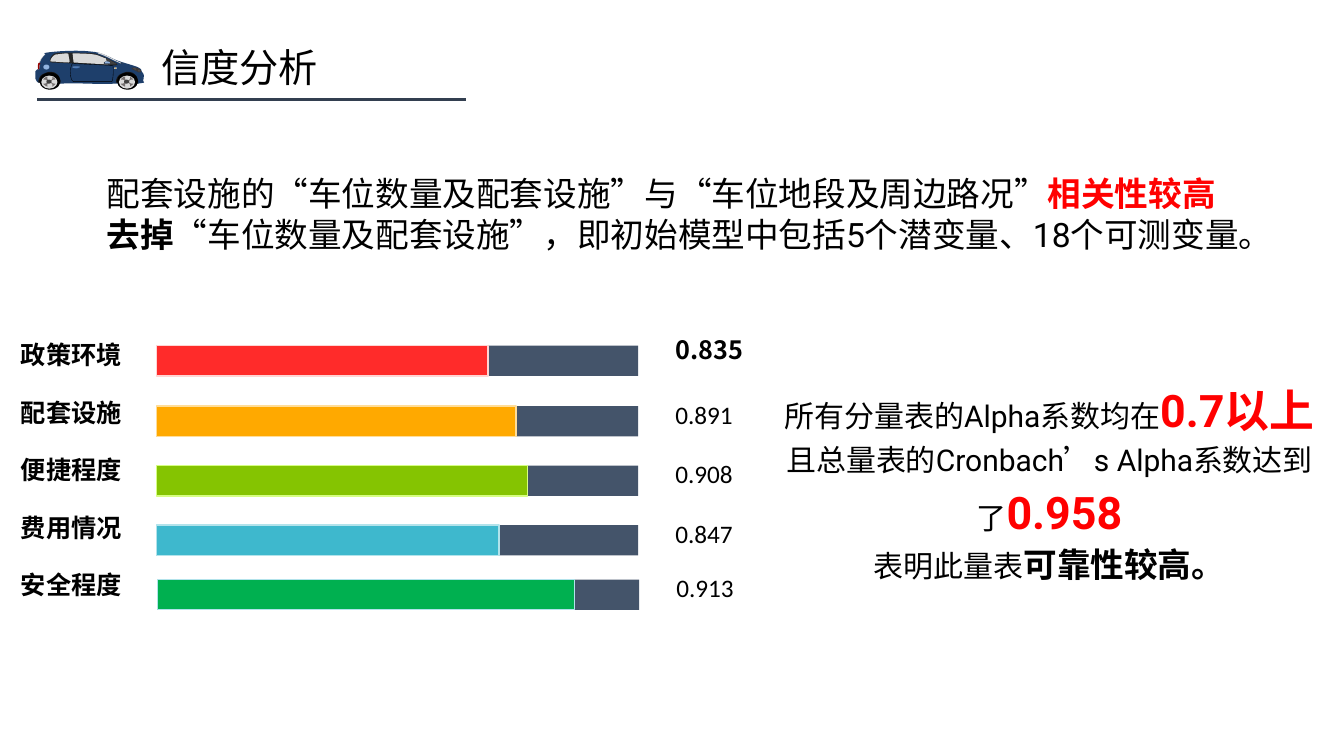
from lxml import etree
from pptx import Presentation
from pptx.dml.color import RGBColor
from pptx.enum.shapes import MSO_CONNECTOR, MSO_SHAPE
from pptx.enum.text import PP_ALIGN
from pptx.oxml.ns import qn
from pptx.util import Inches, Pt

HAN_FONT, BODY_FONT, NUMBER_FONT = "Noto Sans CJK SC", "Roboto", "Calibri"
BLACK = RGBColor(0x00, 0x00, 0x00)
RED = RGBColor(0xFF, 0x00, 0x00)
SLATE = RGBColor(0x44, 0x54, 0x6A)
NAVY = RGBColor(0x33, 0x3F, 0x50)
BODY_BLUE = RGBColor(0x1E, 0x3F, 0x6B)
HANDLE_BLUE = RGBColor(0x2E, 0x5F, 0xA1)
PALE_BLUE = RGBColor(0x91, 0xB3, 0xE0)
GLASS = RGBColor(0xD9, 0xD9, 0xD9)
TRIM = RGBColor(0xBF, 0xBF, 0xBF)
SPOKE = RGBColor(0x76, 0x71, 0x71)
DARK = RGBColor(0x40, 0x40, 0x40)
LAMP = RGBColor(0x3B, 0x38, 0x38)
LAMP_SPOT = RGBColor(0x4D, 0x49, 0x49)
FRAME = RGBColor(0x26, 0x26, 0x26)
ARCH = RGBColor(0x18, 0x17, 0x17)
TAIL_RED = RGBColor(0x94, 0x01, 0x00)
WHITE = RGBColor(0xFF, 0xFF, 0xFF)
AMBER = RGBColor(0xFF, 0xA9, 0x00)
ICE = RGBColor(0xB2, 0xE3, 0xEB)

# Runs are (text, size, colour, bold)
TITLE = [[("信度分析", 28, BLACK, False)]]
SUMMARY = [
    [("配套设施的“车位数量及配套设施”与“车位地段及周边路况”", 24, BLACK, False),
     ("相关性较高", 24, RED, True)],
    [("去掉", 24, BLACK, True),
     ("“车位数量及配套设施”，即初始模型中包括5个潜变量、18个可测变量。", 24, BLACK, False)],
]
CONCLUSION = [
    [("所有分量表的Alpha系数均在", 21.4, BLACK, False), ("0.7以上", 32, RED, True)],
    [("且总量表的Cronbach’s Alpha系数达到了", 21.4, BLACK, False), ("0.958", 32, RED, True)],
    [("表明此量表", 21.4, BLACK, False), ("可靠性较高。", 24, BLACK, True)],
]
# Scale, alpha, bar left and top, filled width, fill, outline
SCALES = [
    ("政策环境", "0.835", 1.55, 3.43, 3.29, RGBColor(0xFF, 0x2B, 0x2A), RGBColor(0xFF, 0xD5, 0xD4)),
    ("配套设施", "0.891", 1.55, 4.03, 3.57, AMBER, RGBColor(0xFF, 0xDD, 0x99)),
    ("便捷程度", "0.908", 1.55, 4.62, 3.68, RGBColor(0x85, 0xC4, 0x01), RGBColor(0xD6, 0xFE, 0x82)),
    ("费用情况", "0.847", 1.55, 5.21, 3.4, RGBColor(0x3E, 0xB8, 0xCD), ICE),
    ("安全程度", "0.913", 1.56, 5.75, 4.14, RGBColor(0x00, 0xB0, 0x50), ICE),
]
BAR_WIDTH, BAR_HEIGHT = 4.78, 0.3
LABEL_TOP, LABEL_PITCH = 3.32, 0.57

# Outlines: a start point, then lines (x, y) and curves (x1, y1, x2, y2, x, y)
CAR_BODY = [
    (0.44, 0.53), (0.42, 0.52, 0.73, 0.49, 0.89, 0.51), (1.04, 0.52, 1.09, 0.58, 1.19, 0.61),
    (1.35, 0.66, 1.37, 0.66, 1.4, 0.69), (1.41, 0.74, 1.44, 0.71, 1.42, 0.8), (1.43, 0.82),
    (1.37, 0.83), (1.15, 0.83), (0.96, 0.84, 0.78, 0.82, 0.6, 0.83), (0.38, 0.82),
    (0.36, 0.81, 0.35, 0.78, 0.35, 0.77), (0.35, 0.71), (0.35, 0.7, 0.39, 0.68, 0.39, 0.67),
    (0.39, 0.64, 0.39, 0.59, 0.45, 0.54)]
WINDOW_FRAME = [(0.55, 0.53), (0.63, 0.52, 0.74, 0.52, 0.94, 0.53),
                (0.97, 0.54, 1.25, 0.65, 1.14, 0.65), (0.5, 0.62), (0.48, 0.58, 0.53, 0.53, 0.55, 0.53)]
FRONT_WINDOW = [(0.72, 0.53), (0.73, 0.53, 0.86, 0.53, 0.93, 0.54),
                (0.99, 0.55, 1.01, 0.57, 1.05, 0.58), (1.07, 0.64), (0.73, 0.62)]
REAR_WINDOW = [(0.56, 0.54), (0.57, 0.54, 0.63, 0.53, 0.66, 0.53), (0.68, 0.53, 0.68, 0.54, 0.68, 0.55),
               (0.68, 0.56, 0.69, 0.59, 0.69, 0.61), (0.68, 0.62), (0.64, 0.62, 0.54, 0.61, 0.5, 0.61),
               (0.5, 0.6), (0.51, 0.57, 0.54, 0.54, 0.56, 0.54)]
QUARTER_WINDOW = [(1.06, 0.58), (1.15, 0.63), (1.17, 0.64, 1.13, 0.64, 1.11, 0.64), (1.07, 0.64),
                  (1.06, 0.64, 1.06, 0.63, 1.06, 0.58)]
MIRROR_BACK = [(1.05, 0.61), (1.08, 0.61, 1.09, 0.61, 1.09, 0.62), (1.09, 0.64), (1.03, 0.64), (1.03, 0.62)]
MIRROR = [(1.05, 0.61), (1.07, 0.61, 1.08, 0.61, 1.09, 0.62), (1.09, 0.63), (1.04, 0.63), (1.04, 0.62)]
DOOR = [(0.72, 0.63), (1.12, 0.65), (1.13, 0.69, 1.12, 0.81, 1.11, 0.81), (0.73, 0.81),
        (0.69, 0.8, 0.69, 0.66, 0.72, 0.63)]
WINDSCREEN = [(0.98, 0.52), (1.05, 0.54, 1.16, 0.61, 1.2, 0.62), (1.2, 0.63),
              (1.12, 0.6, 1.07, 0.56, 0.97, 0.53)]
WIPER = [(1.19, 0.62), (1.2, 0.62), (1.23, 0.63), (1.21, 0.63, 1.2, 0.63, 1.19, 0.62)]
HEADLAMP = [(1.33, 0.67), (1.35, 0.67, 1.37, 0.67, 1.4, 0.7), (1.4, 0.72),
            (1.39, 0.71, 1.39, 0.71, 1.38, 0.72), (1.36, 0.71, 1.34, 0.7, 1.32, 0.69),
            (1.3, 0.68, 1.3, 0.67, 1.33, 0.67)]
LAMP_CORNER = [(1.32, 0.68), (1.33, 0.67), (1.34, 0.67, 1.35, 0.68, 1.35, 0.69), (1.35, 0.7)]
REAR_TRIM = [(0.45, 0.54), (0.39, 0.59, 0.39, 0.65, 0.39, 0.68), (0.38, 0.69),
             (0.37, 0.63, 0.41, 0.57, 0.45, 0.54)]
TAIL_LAMP = [(0.38, 0.63), (0.39, 0.62, 0.39, 0.62, 0.4, 0.63), (0.39, 0.64, 0.39, 0.66, 0.39, 0.68),
             (0.38, 0.69), (0.37, 0.65, 0.38, 0.64, 0.38, 0.63)]
WHEEL_ARCH = [(0.44, 0.73), (0.48, 0.71, 0.5, 0.71, 0.54, 0.72), (0.6, 0.75, 0.6, 0.8, 0.6, 0.83),
              (0.38, 0.82), (0.38, 0.78, 0.4, 0.74, 0.44, 0.73)]
SPOKES = [
    (0.47, 0.76), (0.47, 0.78), (0.47, 0.79, 0.48, 0.8, 0.49, 0.8), (0.5, 0.8, 0.52, 0.79, 0.52, 0.78),
    (0.52, 0.76), (0.53, 0.77, 0.55, 0.78, 0.55, 0.79), (0.54, 0.79),
    (0.52, 0.79, 0.51, 0.8, 0.51, 0.81), (0.51, 0.82, 0.52, 0.83, 0.54, 0.83), (0.55, 0.83),
    (0.55, 0.84, 0.53, 0.85, 0.52, 0.86), (0.52, 0.84), (0.52, 0.83, 0.5, 0.82, 0.49, 0.82),
    (0.48, 0.82, 0.47, 0.83, 0.47, 0.84), (0.47, 0.86), (0.45, 0.85, 0.43, 0.84, 0.43, 0.83),
    (0.44, 0.83), (0.46, 0.83, 0.47, 0.82, 0.47, 0.81), (0.47, 0.8, 0.46, 0.79, 0.44, 0.79),
    (0.43, 0.79), (0.43, 0.78, 0.45, 0.77, 0.46, 0.76)]
WHEEL_OFFSETS = (0, 0.77)
CURVE_STEPS = 8

presentation = Presentation()
presentation.slide_width, presentation.slide_height = Inches(13.33), Inches(7.5)
slide = presentation.slides.add_slide(presentation.slide_layouts[6])
shapes = slide.shapes


def paint(shape, fill, outline=None, weight=1):
    shape.shadow.inherit = False
    shape.fill.solid()
    shape.fill.fore_color.rgb = fill
    if outline is None:
        shape.line.fill.background()
    else:
        shape.line.color.rgb = outline
        shape.line.width = Pt(weight)


def add_preset(preset, box, fill, outline=None):
    shape = shapes.add_shape(preset, *map(Inches, box))
    paint(shape, fill, outline)


def add_outline(segments, fill, shift=0, outline=None):
    """Draw a closed outline, turning each cubic curve into short lines."""
    points = [segments[0]]
    for segment in segments[1:]:
        if len(segment) == 2:
            points.append(segment)
            continue
        knots = [points[-1], segment[:2], segment[2:4], segment[4:]]
        for step in range(1, CURVE_STEPS + 1):
            t = step / CURVE_STEPS
            weights = ((1 - t) ** 3, 3 * t * (1 - t) ** 2, 3 * t * t * (1 - t), t ** 3)
            points.append(tuple(sum(w * knot[axis] for w, knot in zip(weights, knots))
                                for axis in (0, 1)))
    points = [(Inches(x + shift), Inches(y)) for x, y in points]
    builder = shapes.build_freeform(*points[0])
    builder.add_line_segments(points[1:], close=True)
    paint(builder.convert_to_shape(), fill, outline, 0.25)


def add_text(box, paragraphs, font, align=PP_ALIGN.LEFT, spacing=None):
    frame = shapes.add_textbox(*map(Inches, box)).text_frame
    frame.word_wrap = True
    for index, runs in enumerate(paragraphs):
        paragraph = frame.paragraphs[0] if index == 0 else frame.add_paragraph()
        paragraph.alignment = align
        paragraph.line_spacing = spacing
        paragraph.font.name = font
        for text, size, colour, bold in runs:
            run = paragraph.add_run()
            run.text = text
            run.font.size, run.font.bold = Pt(size), bold
            run.font.color.rgb = colour
            run.font.name = font
            etree.SubElement(run.font._element if hasattr(run.font, "_element") else run._r.rPr,
                             qn("a:ea"), typeface=HAN_FONT)


def add_wheel(shift):
    add_outline(WHEEL_ARCH, ARCH, shift)
    add_preset(MSO_SHAPE.OVAL, (0.39 + shift, 0.72, 0.21, 0.17), BLACK)
    add_preset(MSO_SHAPE.OVAL, (0.41 + shift, 0.75, 0.16, 0.13), GLASS)
    add_outline(SPOKES, SPOKE, shift)
    add_preset(MSO_SHAPE.OVAL, (0.46 + shift, 0.79, 0.05, 0.04), DARK)


def add_car():
    for outline, fill in ((CAR_BODY, BODY_BLUE), (WINDOW_FRAME, FRAME), (FRONT_WINDOW, GLASS),
                          (REAR_WINDOW, GLASS), (QUARTER_WINDOW, DARK), (MIRROR_BACK, NAVY),
                          (MIRROR, PALE_BLUE)):
        add_outline(outline, fill)
    add_preset(MSO_SHAPE.ROUNDED_RECTANGLE, (1.13, 0.67, 0.03, 0.01), WHITE)
    add_preset(MSO_SHAPE.OVAL, (1.14, 0.67, 0.01, 0.01), AMBER)
    add_outline(DOOR, BODY_BLUE, outline=BLACK)
    add_preset(MSO_SHAPE.OVAL, (0.73, 0.66, 0.05, 0.02), HANDLE_BLUE)
    add_preset(MSO_SHAPE.ROUNDED_RECTANGLE, (0.72, 0.66, 0.07, 0.01), PALE_BLUE)
    add_preset(MSO_SHAPE.OVAL, (0.43, 0.64, 0.06, 0.05), PALE_BLUE)
    for outline, fill in ((WINDSCREEN, GLASS), (WIPER, DARK), (HEADLAMP, LAMP),
                          (LAMP_CORNER, LAMP_SPOT), (REAR_TRIM, TRIM), (TAIL_LAMP, TAIL_RED)):
        add_outline(outline, fill)
    add_preset(MSO_SHAPE.OVAL, (1.37, 0.69, 0.02, 0.02), LAMP_SPOT)
    for shift in WHEEL_OFFSETS:
        add_wheel(shift)


add_text((1.5, 0.38, 4.77, 0.57), TITLE, HAN_FONT)
add_text((0.96, 1.67, 11.86, 0.91), SUMMARY, BODY_FONT)

for row, (scale, alpha, left, top, filled, fill, outline) in enumerate(SCALES):
    first = row == 0
    add_preset(MSO_SHAPE.RECTANGLE, (left, top, BAR_WIDTH, BAR_HEIGHT), SLATE)
    add_preset(MSO_SHAPE.RECTANGLE, (left, top, filled, BAR_HEIGHT), fill, outline)
    add_text((0.11, LABEL_TOP + row * LABEL_PITCH, 1.28, 0.4), [[(scale, 18, BLACK, True)]], HAN_FONT)
    add_text((left + 5.05, top - (0.16 if first else 0.12), 0.96, 0.4),
             [[(alpha, 18, BLACK, first)]], HAN_FONT if first else NUMBER_FONT)

add_text((7.56, 3.67, 5.7, 2.2), CONCLUSION, BODY_FONT, PP_ALIGN.CENTER, 1.14)
add_car()

rule = shapes.add_connector(MSO_CONNECTOR.STRAIGHT, Inches(0.37), Inches(0.99), Inches(4.62), Inches(0.99))
rule.line.color.rgb = NAVY
rule.line.width = Pt(2)
etree.SubElement(rule._element.spPr, qn("a:effectLst"))

presentation.save("out.pptx")
